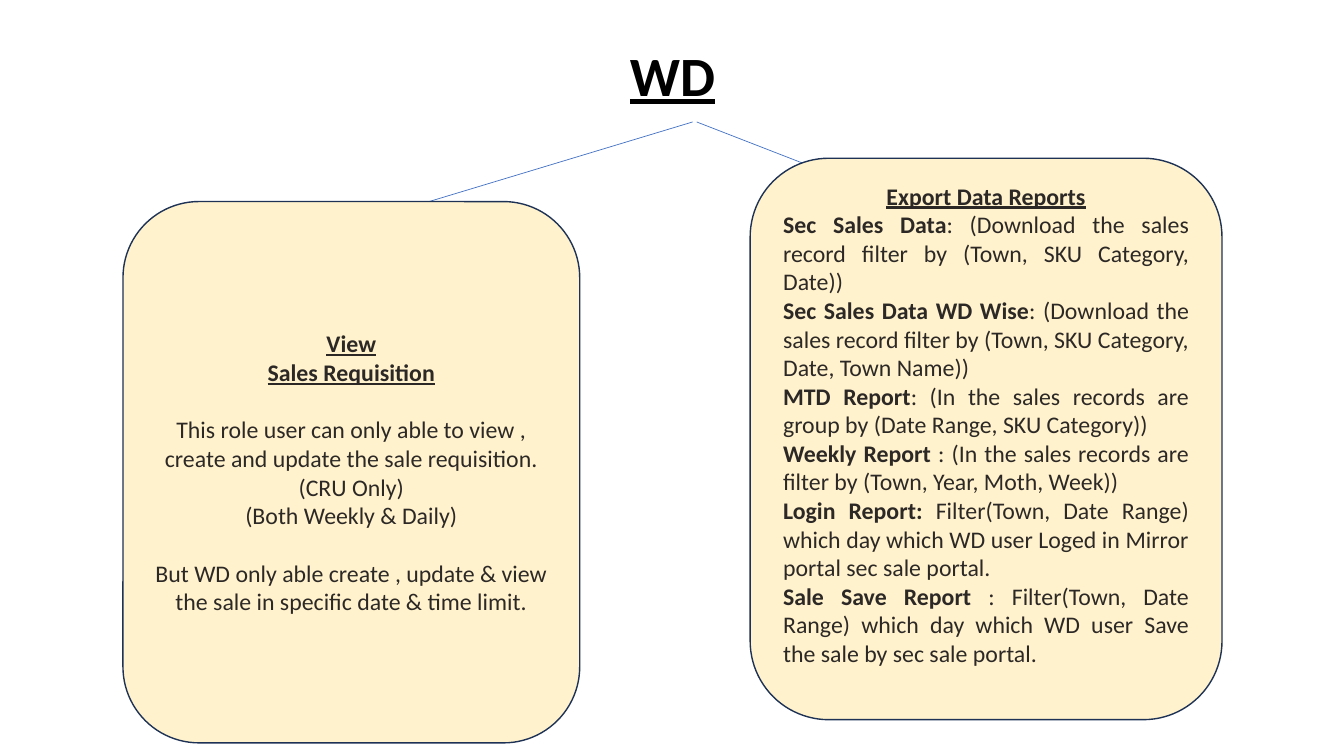
from dataclasses import dataclass

from lxml import etree
from pptx import Presentation
from pptx.dml.color import RGBColor
from pptx.enum import shapes, text
from pptx.oxml import ns
from pptx.util import Inches, Pt


@dataclass(frozen=True)
class Theme:
    font: str = "Calibri"
    title_size: float = 39.6
    body_size: float = 17
    gap: float = 20.7
    title: RGBColor = RGBColor(0x00, 0x00, 0x00)
    body: RGBColor = RGBColor(0x2C, 0x28, 0x26)
    card: RGBColor = RGBColor(0xFF, 0xF2, 0xCC)
    border: RGBColor = RGBColor(0x1E, 0x32, 0x56)
    arrow: RGBColor = RGBColor(0x44, 0x72, 0xC4)


HEADING = {"bold": True, "underline": True}
LABEL = {"bold": True, "underline": False}
PLAIN = {"bold": False, "underline": False}
CENTER, JUSTIFY = text.PP_ALIGN.CENTER, text.PP_ALIGN.JUSTIFY

# Each paragraph: alignment, gap above, runs of (text, format)
REQUISITION = [
    (CENTER, False, [("View", HEADING)]),
    (CENTER, False, [("Sales Requisition", HEADING)]),
    (CENTER, True, [("This role user can only able to view , create and update "
                     "the sale requisition.", PLAIN)]),
    (CENTER, False, [("(CRU Only)", PLAIN)]),
    (CENTER, False, [("(Both Weekly & Daily)", PLAIN)]),
    (CENTER, True, [("But WD only able create , update & view the sale in "
                     "specific date & time limit.", PLAIN)]),
]
REPORTS = [
    ("Sec Sales Data", ": (Download the sales record filter by (Town, SKU Category, Date))"),
    ("Sec Sales Data WD Wise", ": (Download the sales record filter by "
                               "(Town, SKU Category, Date, Town Name))"),
    ("MTD Report", ": (In the sales records are group by (Date Range, SKU Category))"),
    ("Weekly Report ", ": (In the sales records are filter by (Town, Year, Moth, Week))"),
    ("Login Report: ", "Filter(Town, Date Range) which day which WD user Loged in "
                       "Mirror portal sec sale portal."),
    ("Sale Save Report", " : Filter(Town, Date Range) which day which WD user Save "
                         "the sale by sec sale portal."),
]
EXPORTS = [(CENTER, False, [("Export Data Reports", HEADING)])] + [
    (JUSTIFY, False, [(name, LABEL), (detail, PLAIN)]) for name, detail in REPORTS
]


class RoleSlide:
    def __init__(self, prs, theme):
        self.theme = theme
        self.slide = prs.slides.add_slide(prs.slide_layouts[5])

    def add_run(self, p, words, size, color, style):
        r = p.add_run()
        r.text = words
        values = {"name": self.theme.font, "size": Pt(size), **style}
        for key, value in values.items():
            setattr(r.font, key, value)
        r.font.color.rgb = color

    def title(self, words, left, top, width, height):
        sp = self.slide.shapes.title
        box = {"left": left, "top": top, "width": width, "height": height}
        for key, value in box.items():
            setattr(sp, key, Inches(value))
        sp.text_frame.vertical_anchor = text.MSO_ANCHOR.MIDDLE
        p = sp.text_frame.paragraphs[0]
        p.alignment, p.line_spacing = CENTER, 0.9
        self.add_run(p, words, self.theme.title_size, self.theme.title, HEADING)

    def arrow(self, x1, y1, x2, y2):
        line = self.slide.shapes.add_connector(
            shapes.MSO_CONNECTOR.STRAIGHT, *map(Inches, (x1, y1, x2, y2)))
        line.line.color.rgb = self.theme.arrow
        line.line.width = Pt(0.5)
        etree.SubElement(line.line._get_or_add_ln(), ns.qn("a:tailEnd"), type="triangle")
        etree.SubElement(line._element.spPr, ns.qn("a:effectLst"))

    def card(self, paragraphs, left, top, width, height, bottom=0.05):
        sp = self.slide.shapes.add_shape(
            shapes.MSO_SHAPE.ROUNDED_RECTANGLE, *map(Inches, (left, top, width, height)))
        sp.shadow.inherit = False
        sp.fill.solid()
        sp.fill.fore_color.rgb = self.theme.card
        sp.line.color.rgb = self.theme.border
        sp.line.width = Pt(1)
        tf = sp.text_frame
        tf.word_wrap = True
        tf.vertical_anchor = text.MSO_ANCHOR.MIDDLE
        tf.margin_bottom = Inches(bottom)
        for i, (alignment, gap, runs) in enumerate(paragraphs):
            p = tf.add_paragraph() if i else tf.paragraphs[0]
            p.alignment = alignment
            p.space_before = Pt(self.theme.gap if gap else 0)
            for words, style in runs:
                self.add_run(p, words, self.theme.body_size, self.theme.body, style)


def main():
    prs = Presentation()
    prs.slide_width, prs.slide_height = Inches(13.33), Inches(7.5)
    page = RoleSlide(prs, Theme())
    page.title("WD", 0.92, 0.4, 11.5, 0.75)
    page.arrow(6.91, 1.21, 11.26, 2.9)
    page.arrow(6.87, 1.21, 2.6, 2.5)
    page.card(REQUISITION, 1.22, 2, 4.53, 5.37)
    page.card(EXPORTS, 7.44, 1.57, 4.68, 5.57, bottom=0.34)
    prs.save("out.pptx")


if __name__ == "__main__":
    main()
